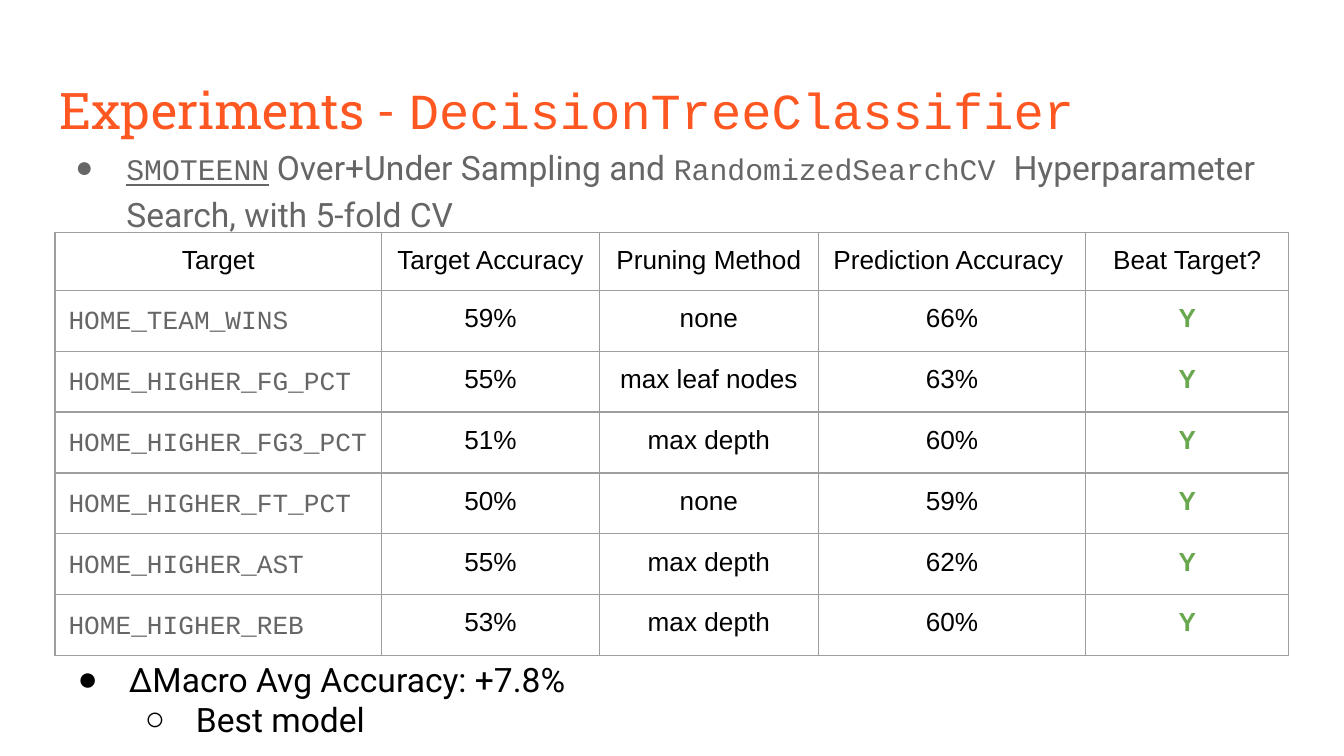
"""Build the DecisionTreeClassifier experiments slide."""
from dataclasses import dataclass

from lxml import etree
from pptx import Presentation
from pptx.dml.color import RGBColor
from pptx.enum import text as t
from pptx.oxml import ns
from pptx.util import Inches, Pt

ORANGE = RGBColor(0xFF, 0x57, 0x22)
GRAY = RGBColor(0x66, 0x66, 0x66)
BLACK = RGBColor(0, 0, 0)
GREEN = RGBColor(0x6A, 0xA8, 0x4F)
BORDER = RGBColor(0x9E, 0x9E, 0x9E)
SANS, SLAB, CODE, PLAIN = "Roboto", "Roboto Slab", "Courier New", "Arial"
INSET = Inches(0.1)
HEADERS = ["Target", "Target Accuracy", "Pruning Method", "Prediction Accuracy ", "Beat Target?"]
COLUMN_WIDTHS = [2.43, 1.62, 1.63, 1.99, 1.51]
ROW_HEIGHT = 0.43


@dataclass
class Span:
    words: str
    size: float
    face: str
    color: RGBColor
    underline: bool = False
    bold: bool = False


@dataclass
class Experiment:
    target: str
    baseline: str
    pruning: str
    accuracy: str
    beat: str = "Y"


EXPERIMENTS = [
    Experiment("HOME_TEAM_WINS", "59%", "none", "66%"),
    Experiment("HOME_HIGHER_FG_PCT", "55%", "max leaf nodes", "63%"),
    Experiment("HOME_HIGHER_FG3_PCT", "51%", "max depth", "60%"),
    Experiment("HOME_HIGHER_FT_PCT", "50%", "none", "59%"),
    Experiment("HOME_HIGHER_AST", "55%", "max depth", "62%"),
    Experiment("HOME_HIGHER_REB", "53%", "max depth", "60%"),
]


def place(shape, left: float, top: float, width: float, height: float) -> None:
    shape.left, shape.top = Inches(left), Inches(top)
    shape.width, shape.height = Inches(width), Inches(height)
    frame = shape.text_frame
    frame.word_wrap = True
    frame.auto_size = t.MSO_AUTO_SIZE.NONE
    frame.vertical_anchor = t.MSO_ANCHOR.TOP
    frame.margin_left = frame.margin_right = INSET
    frame.margin_top = frame.margin_bottom = INSET


def write(paragraph, spans: list[Span], align: t.PP_ALIGN = t.PP_ALIGN.LEFT,
          spacing: float = 1.0, after: float = 0) -> None:
    paragraph.alignment = align
    paragraph.line_spacing = spacing
    paragraph.space_before, paragraph.space_after = Pt(0), Pt(after)
    for span in spans:
        run = paragraph.add_run()
        run.text = span.words
        font = run.font
        font.size, font.name = Pt(span.size), span.face
        font.bold, font.underline = span.bold, span.underline
        font.color.rgb = span.color


def add_color(parent, color: RGBColor) -> None:
    etree.SubElement(parent, ns.qn("a:srgbClr"), val=str(color))


def add_bullet(paragraph, mark: str, color: RGBColor, level: int = 0) -> None:
    paragraph.level = level
    properties = paragraph._p.get_or_add_pPr()
    properties.set("marL", str(Inches(0.5 * (level + 1))))
    properties.set("indent", str(Inches(-0.38)))
    add_color(etree.SubElement(properties, ns.qn("a:buClr")), color)
    etree.SubElement(properties, ns.qn("a:buFont"), typeface=PLAIN)
    etree.SubElement(properties, ns.qn("a:buChar"), char=mark)


def fill_cell(cell, span: Span, align: t.PP_ALIGN = t.PP_ALIGN.CENTER,
              spacing: float = 1.0, after: float = 0) -> None:
    cell.margin_left = cell.margin_right = INSET
    cell.margin_top = cell.margin_bottom = INSET
    write(cell.text_frame.paragraphs[0], [span], align, spacing, after)
    properties = cell._tc.get_or_add_tcPr()
    for side in ("lnL", "lnR", "lnT", "lnB"):
        edge = etree.SubElement(properties, ns.qn(f"a:{side}"), w=str(Pt(0.75)))
        add_color(etree.SubElement(edge, ns.qn("a:solidFill")), BORDER)
    cell.fill.background()


def add_results(slide) -> None:
    frame = slide.shapes.add_table(
        len(EXPERIMENTS) + 1, len(HEADERS), Inches(0.41), Inches(1.73),
        Inches(sum(COLUMN_WIDTHS)), Inches(ROW_HEIGHT * (len(EXPERIMENTS) + 1)))
    results = frame.table
    results.first_row = results.horz_banding = False
    for column, width in zip(results.columns, COLUMN_WIDTHS):
        column.width = Inches(width)
    for row in results.rows:
        row.height = Inches(ROW_HEIGHT)
    for column, header in enumerate(HEADERS):
        fill_cell(results.cell(0, column), Span(header, 14, PLAIN, BLACK))
    for row, experiment in enumerate(EXPERIMENTS, 1):
        fill_cell(results.cell(row, 0), Span(experiment.target, 14, CODE, GRAY),
                  t.PP_ALIGN.LEFT, 1.15, 12)
        figures = (experiment.baseline, experiment.pruning, experiment.accuracy)
        for column, figure in enumerate(figures, 1):
            fill_cell(results.cell(row, column), Span(figure, 14, PLAIN, BLACK))
        fill_cell(results.cell(row, 4), Span(experiment.beat, 14, PLAIN, GREEN, bold=True))


def main() -> None:
    deck = Presentation()
    deck.slide_width, deck.slide_height = Inches(10), Inches(10 * 9 / 16)
    slide = deck.slides.add_slide(deck.slide_layouts[1])

    heading = slide.shapes.title
    place(heading, 0.34, 0.49, 9.32, 0.63)
    write(heading.text_frame.paragraphs[0], [
        Span("Experiments - ", 27, SLAB, ORANGE),
        Span("DecisionTreeClassifier", 27, CODE, ORANGE)])

    method = slide.placeholders[1]
    place(method, 0.34, 0.95, 9.32, 4.05)
    approach = method.text_frame.paragraphs[0]
    write(approach, [
        Span("SMOTEENN", 16, CODE, GRAY, underline=True),
        Span(" ", 16, SANS, GRAY),
        Span("Over+Under Sampling and ", 18, SANS, GRAY),
        Span("RandomizedSearchCV ", 16, CODE, GRAY),
        Span("Hyperparameter Search, with 5-fold CV", 18, SANS, GRAY)], spacing=1.15)
    add_bullet(approach, "●", GRAY)

    add_results(slide)

    summary = slide.shapes.add_textbox(0, 0, 0, 0)
    place(summary, 0.36, 4.8, 9.28, 0.81)
    gain = summary.text_frame.paragraphs[0]
    write(gain, [Span("ΔMacro Avg Accuracy: +7.8%", 18, SANS, BLACK)])
    add_bullet(gain, "●", BLACK)
    verdict = summary.text_frame.add_paragraph()
    write(verdict, [Span("Best model", 18, SANS, BLACK)])
    add_bullet(verdict, "○", BLACK, level=1)

    deck.save("out.pptx")


if __name__ == "__main__":
    main()
